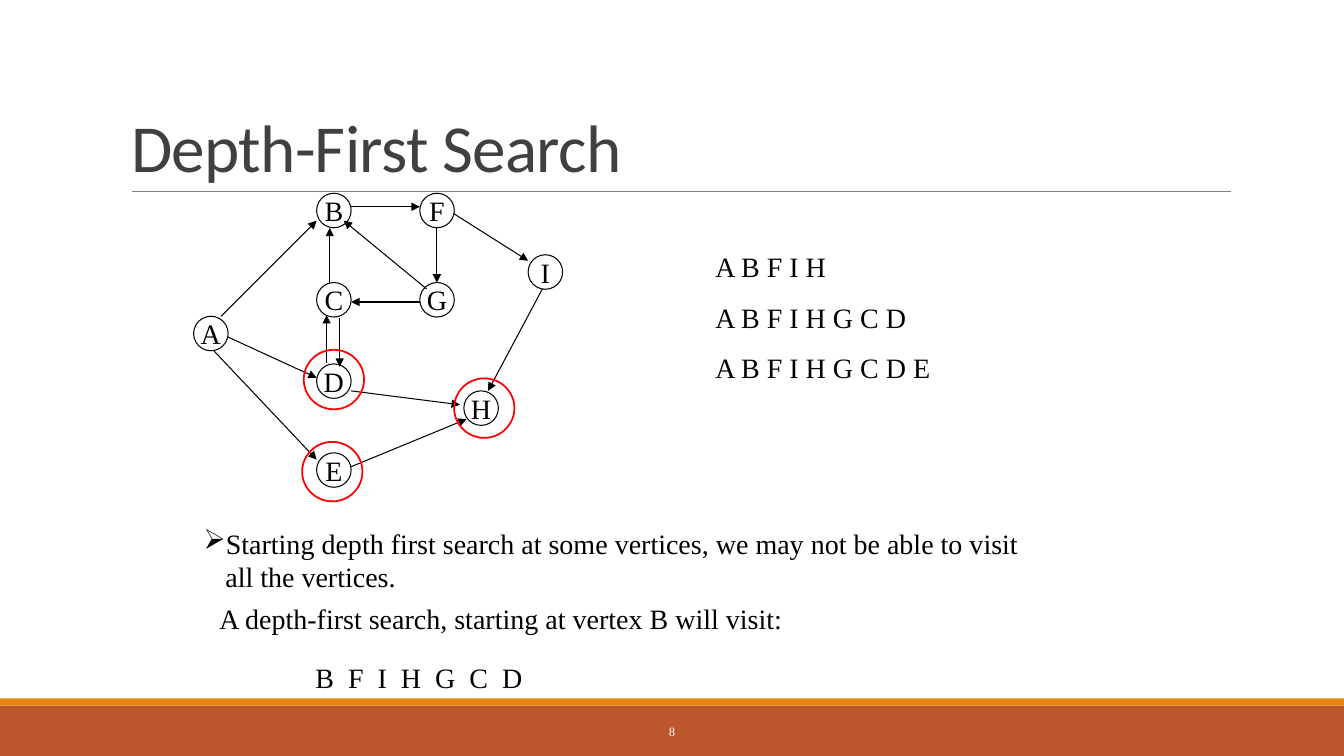
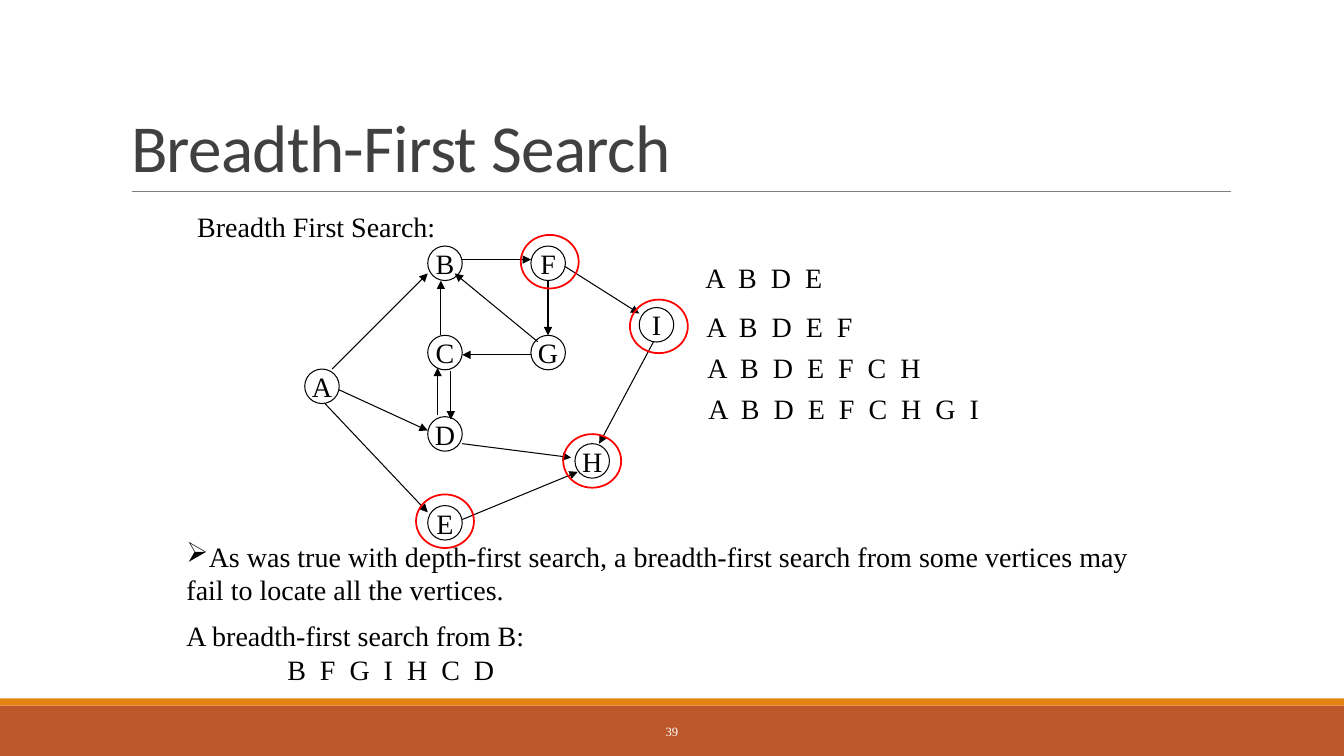
import pptx
import pptx.dml.color
import pptx.enum.shapes
import pptx.enum.text
import pptx.oxml
import pptx.oxml.ns
import pptx.util

Cm = pptx.util.Cm
Pt = pptx.util.Pt
RGBColor = pptx.dml.color.RGBColor
SHAPE = pptx.enum.shapes.MSO_SHAPE
ALIGN = pptx.enum.text.PP_ALIGN
ANCHOR = pptx.enum.text.MSO_ANCHOR

RUST = RGBColor(0xBD, 0x58, 0x2C)
ORANGE = RGBColor(0xE4, 0x83, 0x12)
GRAY = RGBColor(0x80, 0x80, 0x80)
CHARCOAL = RGBColor(0x40, 0x40, 0x40)
BLACK = RGBColor(0, 0, 0)
WHITE = RGBColor(255, 255, 255)
RED = RGBColor(255, 0, 0)

HEADING_FONT = "Calibri"
BODY_FONT = "Times New Roman"
WIDTH, HEIGHT = 33.87, 19.05
NODE = 0.87
WIDE = 2.5  # letter spacing of the visit orders, in points

# Centimetres from the top left corner of the graph
NODES = {
    "A": (0, 3.1), "B": (3.1, 0), "C": (3.1, 2.25), "D": (3.1, 4.3),
    "E": (3.1, 6.54), "F": (5.7, 0), "G": (5.7, 2.25), "H": (6.81, 4.98),
    "I": (8.43, 1.55),
}
EDGES = {
    "AB": (0.69, 3.1, 3.1, 0.69), "AD": (0.86, 3.62, 3.1, 4.65),
    "AE": (0.51, 3.97, 3.1, 6.71), "EH": (3.97, 6.89, 6.88, 5.69),
    "DH": (3.97, 4.98, 6.71, 5.33), "BF": (3.97, 0.34, 5.7, 0.34),
    "FG": (6.13, 0.87, 6.13, 2.25), "FI": (6.55, 0.51, 8.43, 1.7),
    "IH": (8.79, 2.41, 7.42, 4.98), "GC": (5.7, 2.74, 3.97, 2.74),
    "GB": (5.87, 2.41, 3.78, 0.69), "CB": (3.43, 2.25, 3.43, 0.87),
    "DC": (3.35, 4.27, 3.35, 3.07), "CD": (3.68, 3.15, 3.68, 4.37),
}


def add_xml(parent, tag, **attributes):
    child = pptx.oxml.parse_xml(
        f"<a:{tag} {pptx.oxml.ns.nsdecls('a')}/>")
    for name, value in attributes.items():
        child.set(name, value)
    parent.append(child)


def write(p, text, size=20, font=BODY_FONT, color=BLACK, align=ALIGN.LEFT,
          spacing=0, line_spacing=None, bullet=None, left=0, hang=0):
    """Fill a paragraph; left and hang are indents in centimetres."""
    pPr = p._p.get_or_add_pPr()
    pPr.set("marL", str(Cm(left)))
    pPr.set("indent", str(Cm(-hang)))
    if bullet:
        add_xml(pPr, "buChar", char=bullet)
    p.alignment = align
    if line_spacing:
        p.line_spacing = line_spacing
    r = p.add_run()
    r.text = text
    r.font.size, r.font.name = Pt(size), font
    r.font.color.rgb = color
    if spacing:
        r._r.get_or_add_rPr().set("spc", str(int(spacing * 100)))


class Deck:
    def __init__(self):
        self.prs = pptx.Presentation()
        self.prs.slide_width, self.prs.slide_height = Cm(WIDTH), Cm(HEIGHT)
        self.s = None

    def slide(self, title, number):
        self.s = self.prs.slides.add_slide(self.prs.slide_layouts[5])
        self.shape(SHAPE.RECTANGLE, 0, 17.78, WIDTH, 1.27, fill=RUST)
        self.shape(SHAPE.RECTANGLE, 0, 17.6, WIDTH, 0.18, fill=ORANGE)
        self.line(3.33, 4.83, 31.01, 4.83, color=GRAY, weight=0.5)
        sp = self.s.shapes.title
        sp.left, sp.top, sp.width, sp.height = Cm(3.05), Cm(0.79), Cm(27.94), Cm(4.04)
        tf = sp.text_frame
        tf.word_wrap, tf.vertical_anchor = True, ANCHOR.BOTTOM
        tf.auto_size = pptx.enum.text.MSO_AUTO_SIZE.NONE
        write(tf.paragraphs[0], title, size=48, font=HEADING_FONT,
              color=CHARCOAL, spacing=-0.5, line_spacing=0.85)
        self.text(10.24, 17.93, 13.39, str(number), height=1.02,
                  anchor=ANCHOR.MIDDLE, size=9, color=WHITE, align=ALIGN.CENTER)

    def shape(self, kind, x, y, w, h, fill=None, line=None, weight=0.75, on=None):
        sp = (on or self.s).shapes.add_shape(kind, Cm(x), Cm(y), Cm(w), Cm(h))
        sp.shadow.inherit = False
        if fill is None:
            sp.fill.background()
        else:
            sp.fill.solid()
            sp.fill.fore_color.rgb = fill
        if line is None:
            sp.line.fill.background()
        else:
            sp.line.color.rgb, sp.line.width = line, Pt(weight)
        return sp

    def line(self, x1, y1, x2, y2, color=BLACK, weight=0.75, arrow=False, on=None):
        sp = (on or self.s).shapes.add_connector(
            pptx.enum.shapes.MSO_CONNECTOR.STRAIGHT,
            Cm(x1), Cm(y1), Cm(x2), Cm(y2))
        sp.line.color.rgb, sp.line.width = color, Pt(weight)
        if arrow:
            add_xml(sp.line._get_or_add_ln(), "tailEnd", type="triangle")
        add_xml(sp._element.spPr, "effectLst")

    def text(self, x, y, width, text, height=1.12, anchor=ANCHOR.TOP, **fmt):
        """Add a text box and return its frame for further paragraphs."""
        sp = self.s.shapes.add_textbox(Cm(x), Cm(y), Cm(width), Cm(height))
        tf = sp.text_frame
        tf.word_wrap, tf.vertical_anchor = True, anchor
        write(tf.paragraphs[0], text, **fmt)
        return tf

    def graph(self, x, y):
        group = self.s.shapes.add_group_shape()
        for name, (dx, dy) in NODES.items():
            sp = self.shape(SHAPE.OVAL, x + dx, y + dy, NODE, NODE,
                            line=BLACK, on=group)
            tf = sp.text_frame
            tf.word_wrap, tf.vertical_anchor = False, ANCHOR.MIDDLE
            tf.margin_left = tf.margin_right = tf.margin_top = tf.margin_bottom = 0
            write(tf.paragraphs[0], name, align=ALIGN.CENTER)
        for x1, y1, x2, y2 in EDGES.values():
            self.line(x + x1, y + y1, x + x2, y + y2, arrow=True, on=group)

    def rings(self, x, y, w, h, nudges):
        """Ring the named nodes, each moved off the node's centre by its nudge."""
        for name, (dx, dy) in nudges.items():
            node_x, node_y = NODES[name]
            self.shape(SHAPE.OVAL, x + node_x + (NODE - w) / 2 + dx,
                       y + node_y + (NODE - h) / 2 + dy, w, h,
                       line=RED, weight=1.25)


def depth_first(deck):
    deck.slide("Depth-First Search", 8)
    origin = 4.88, 4.87
    deck.graph(*origin)
    for y, order in ((6.15, "A B F I H"), (7.44, "A B F I H G C D"),
                     (8.71, "A B F I H G C D E")):
        deck.text(17.78, y, 7, order)
    tf = deck.text(4.88, 13.13, 21.6,
                   "Starting depth first search at some vertices, "
                   "we may not be able to visit",
                   height=1.96, bullet="➢", left=0.55, hang=0.55)
    write(tf.add_paragraph(), "all the vertices.", left=0.55)
    deck.text(5.28, 15.04, 15.5,
              "A depth-first search, starting at vertex B will visit:")
    deck.text(7.7, 16.51, 7, "B F I H G C D", spacing=WIDE)
    deck.rings(*origin, 1.52, 1.5,
               {"H": (0.08, 0), "D": (0, -0.04), "E": (-0.04, 0.04)})


def breadth_first(deck):
    deck.slide("Breadth-First Search", 39)
    origin = 7.68, 6.2
    deck.text(4.72, 5.16, 7, "Breadth First Search:")
    deck.graph(*origin)
    for x, y, order in ((17.53, 6.45, "A B D E"), (17.55, 7.67, "A B D E F"),
                        (17.58, 8.71, "A B D E F C H"),
                        (17.6, 9.73, "A B D E F C H G I")):
        deck.text(x, y, 8.5, order, spacing=WIDE)
    deck.text(4.45, 13.46, 24.61,
              "As was true with depth-first search, a breadth-first search "
              "from some vertices may fail to locate all the vertices.",
              height=1.96, bullet="➢")
    tf = deck.text(4.45, 15.47, 10, "A breadth-first search from B:", height=1.96)
    write(tf.add_paragraph(), "B F G I H C D", spacing=WIDE, left=2.54)
    deck.rings(*origin, 1.46, 1.35,
               {"E": (0, -0.04), "F": (0.04, -0.04), "H": (0, 0), "I": (0.06, 0.04)})


def main():
    deck = Deck()
    depth_first(deck)
    breadth_first(deck)
    deck.prs.save("out.pptx")


if __name__ == "__main__":
    main()
